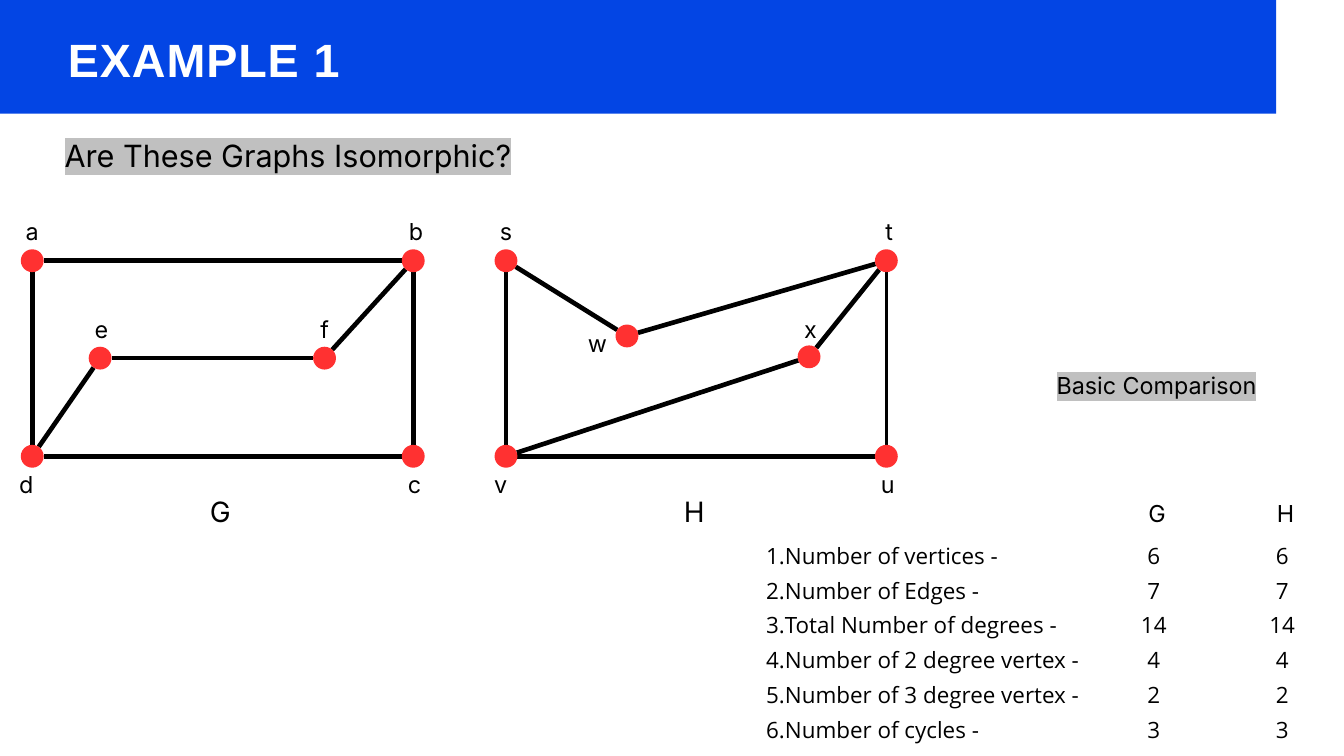
import math
import pptx
import pptx.dml.color
import pptx.enum.shapes
import pptx.enum.text
import pptx.oxml
import pptx.oxml.ns
import pptx.util

Inches = pptx.util.Inches
Pt = pptx.util.Pt
ALIGN = pptx.enum.text.PP_ALIGN
SHAPE = pptx.enum.shapes.MSO_SHAPE
BLACK, WHITE, BLUE, RED, GREY = "000000", "FFFFFF", "0345E4", "FF3131", "C0C0C0"
RADIUS = 0.17

# Node: x and y from the graph's corner, then label centre and top from the node
GRAPH_G = {
    "a": (0, 0, 0, -0.72), "b": (5.67, 0, 0.04, -0.72),
    "c": (5.67, 2.91, 0.02, 0.13), "d": (0, 2.91, -0.09, 0.13),
    "e": (1.01, 1.45, 0.02, -0.71), "f": (4.35, 1.45, 0, -0.71),
}
GRAPH_H = {
    "s": (0, 0, 0, -0.72), "t": (5.66, 0, 0.04, -0.72),
    "u": (5.66, 2.91, 0.02, 0.13), "v": (0, 2.91, -0.08, 0.13),
    "w": (1.8, 1.12, -0.44, -0.17), "x": (4.51, 1.43, 0.02, -0.69),
}
ROWS = [
    ("Number of vertices -", 6, 6),
    ("Number of Edges -", 7, 7),
    ("Total Number of degrees -", 14, 14),
    ("Number of 2 degree vertex -", 4, 4),
    ("Number of 3 degree vertex -", 2, 2),
    ("Number of cycles -", 3, 3),
]


def color(code):
    return pptx.dml.color.RGBColor.from_string(code)


def element(xml):
    return pptx.oxml.parse_xml(xml.replace(">", " " + pptx.oxml.ns.nsdecls("a") + ">", 1))


def add_fill(slide, kind, x, y, w, h, code):
    shape = slide.shapes.add_shape(kind, Inches(x), Inches(y), Inches(w), Inches(h))
    shape.shadow.inherit = False
    shape.fill.solid()
    shape.fill.fore_color.rgb = color(code)
    shape.line.fill.background()


def add_edge(slide, start, end, width):
    """Draw a line from rim to rim between two node centres."""
    (x1, y1), (x2, y2) = start, end
    size = math.hypot(x2 - x1, y2 - y1)
    dx, dy = (x2 - x1) * RADIUS / size, (y2 - y1) * RADIUS / size
    line = slide.shapes.add_connector(
        pptx.enum.shapes.MSO_CONNECTOR.STRAIGHT,
        Inches(x1 + dx), Inches(y1 + dy), Inches(x2 - dx), Inches(y2 - dy))
    line.line.color.rgb = color(BLACK)
    line.line.width = Pt(width)
    line._element.spPr.append(element("<a:effectLst></a:effectLst>"))


def add_text(slide, box, lines, size, space, font="Inter", code=BLACK, align=ALIGN.CENTER):
    """Add a text box with one run to a line, and return its paragraphs."""
    shape = slide.shapes.add_textbox(*[Inches(v) for v in box])
    frame = shape.text_frame
    frame.word_wrap = True
    frame.margin_left = frame.margin_right = frame.margin_top = frame.margin_bottom = 0
    for i, text in enumerate(lines):
        para = frame.add_paragraph() if i else frame.paragraphs[0]
        para.alignment = align
        para.line_spacing = Pt(space)
        run = para.add_run()
        run.text = text
        run.font.size = Pt(size)
        run.font.name = font
        run.font.color.rgb = color(code)
    return frame.paragraphs


def add_marked(slide, box, text, size, space):
    para = add_text(slide, box, [text], size, space)[0]
    fill = para.runs[0].font._element.find(pptx.oxml.ns.qn("a:solidFill"))
    fill.addnext(element(f'<a:highlight><a:srgbClr val="{GREY}"/></a:highlight>'))


def set_tabs(para, stops):
    tabs = "".join(f'<a:tab pos="{Inches(s)}" algn="ctr"/>' for s in stops)
    para._p.get_or_add_pPr().append(element(f"<a:tabLst>{tabs}</a:tabLst>"))


def add_header(slide, x, y, w, h):
    add_fill(slide, SHAPE.RECTANGLE, x, y, w, h, BLUE)
    box = (x + 1.01, y + 0.32, 11.78, 0.93)
    para = add_text(slide, box, ["EXAMPLE 1"], 50, 70, "Arial", WHITE, ALIGN.LEFT)[0]
    font = para.runs[0].font
    font.bold = True
    font._element.set("spc", "100")


def add_graph(slide, x, y, name, nodes, edges, thin=""):
    spots = {key: (x + n[0], y + n[1]) for key, n in nodes.items()}
    for pair in edges.split():
        add_edge(slide, spots[pair[0]], spots[pair[1]], 3.75 if pair == thin else 5)
    for key, (cx, cy) in spots.items():
        add_fill(slide, SHAPE.OVAL, cx - RADIUS, cy - RADIUS, 2 * RADIUS, 2 * RADIUS, RED)
        dx, dy = nodes[key][2:]
        add_text(slide, (cx + dx - 0.155, cy + dy, 0.31, 0.45), [key], 25, 35)
    add_text(slide, (x + 2.64, y + 3.39, 0.32, 0.55), [name], 30, 42)


def add_counts(slide, x, y, w, h):
    # Column heads
    head = add_text(slide, (x + 5.98, y, 2.17, 0.45), ["G\tH"], 25, 35, align=ALIGN.LEFT)
    set_tabs(head[0], [2.04])
    # Numbered rows with two centred columns
    lines = [f"{text}\t{left}\t{right}" for text, left, right in ROWS]
    box = (x, y + 0.59, w, h - 0.59)
    for para in add_text(slide, box, lines, 24, 37.2, "Open Sans", align=ALIGN.LEFT):
        props = para._p.get_or_add_pPr()
        props.set("marL", str(Inches(0.57)))
        props.set("indent", str(Inches(-0.28)))
        props.append(element('<a:buFont typeface="Open Sans"></a:buFont>'))
        props.append(element('<a:buAutoNum type="arabicPeriod"></a:buAutoNum>'))
        set_tabs(para, [6.06, 7.97])


def main():
    deck = pptx.Presentation()
    deck.slide_width, deck.slide_height = Inches(20), Inches(11.25)
    slide = deck.slides.add_slide(deck.slide_layouts[6])
    add_header(slide, 0, 0, 18.99, 1.69)
    add_marked(slide, (0.65, 1.95, 7.27, 0.59), "Are These Graphs Isomorphic?", 32.8, 46)
    add_marked(slide, (15.43, 5.46, 3.56, 0.45), "Basic Comparison", 25, 35)
    add_graph(slide, 0.48, 3.88, "G", GRAPH_G, "ed ef ab cd da bc bf")
    add_graph(slide, 7.53, 3.88, "H", GRAPH_H, "tu xt vx wt uv vs sw", "tu")
    add_counts(slide, 11.11, 7.36, 8.65, 3.6)
    deck.save("out.pptx")


if __name__ == "__main__":
    main()
